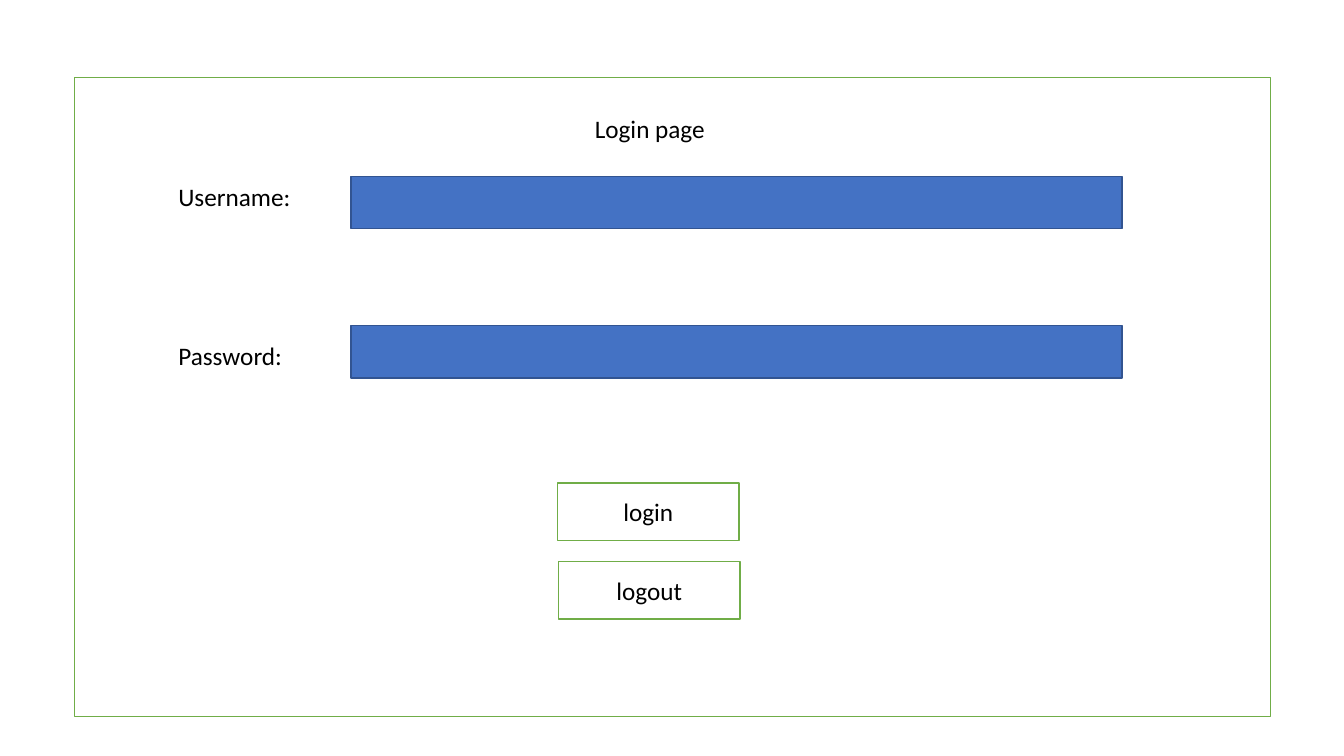
"""Build a login page wireframe slide."""
from pptx import Presentation
from pptx.dml.color import RGBColor
from pptx.enum.shapes import MSO_SHAPE
from pptx.enum.text import MSO_ANCHOR, MSO_AUTO_SIZE, PP_ALIGN
from pptx.util import Emu, Pt

RECTANGLE = MSO_SHAPE.RECTANGLE
MIDDLE = MSO_ANCHOR.MIDDLE
FIT_SHAPE = MSO_AUTO_SIZE.SHAPE_TO_FIT_TEXT
LEFT, CENTER = PP_ALIGN.LEFT, PP_ALIGN.CENTER
PX = 9144
COLORS = {
    "white": "FFFFFF",
    "green": "70AD47",
    "blue": "4472C4",
    "navy": "325491",
    "black": "000000",
}

prs = Presentation()
prs.slide_width, prs.slide_height = Emu(1333 * PX), Emu(750 * PX)
slide = prs.slides.add_slide(prs.slide_layouts[6])


def add_box(left, top, width, height, fill, line):
    box = slide.shapes.add_shape(
        RECTANGLE, *(Emu(v * PX) for v in (left, top, width, height)))
    box.shadow.inherit = False
    box.fill.solid()
    box.fill.fore_color.rgb = RGBColor.from_string(COLORS[fill])
    box.line.color.rgb = RGBColor.from_string(COLORS[line])
    box.line.width = Pt(1)
    return box


def write(frame, text, align):
    frame.word_wrap = True
    paragraph = frame.paragraphs[0]
    paragraph.alignment = align
    run = paragraph.add_run()
    run.text = text
    run.font.name = "Calibri"
    run.font.size = Pt(18)
    run.font.color.rgb = RGBColor.from_string(COLORS["black"])


add_box(74, 77, 1186, 634, "white", "green")

for field_top in (175, 323):
    add_box(348, field_top, 765, 52, "blue", "navy")

for text, left, top, width, align in (
    ("Login page", 403, 108, 483, CENTER),
    ("Username:", 167, 175, 158, LEFT),
    ("Password:", 167, 333, 158, LEFT),
):
    label = slide.shapes.add_textbox(
        *(Emu(v * PX) for v in (left, top, width, 40)))
    write(label.text_frame, text, align)
    label.text_frame.auto_size = FIT_SHAPE

for text, left, top in (("login", 553, 479), ("logout", 554, 557)):
    button = add_box(left, top, 180, 57, "white", "green")
    button.text_frame.vertical_anchor = MIDDLE
    write(button.text_frame, text, CENTER)

prs.save("out.pptx")
